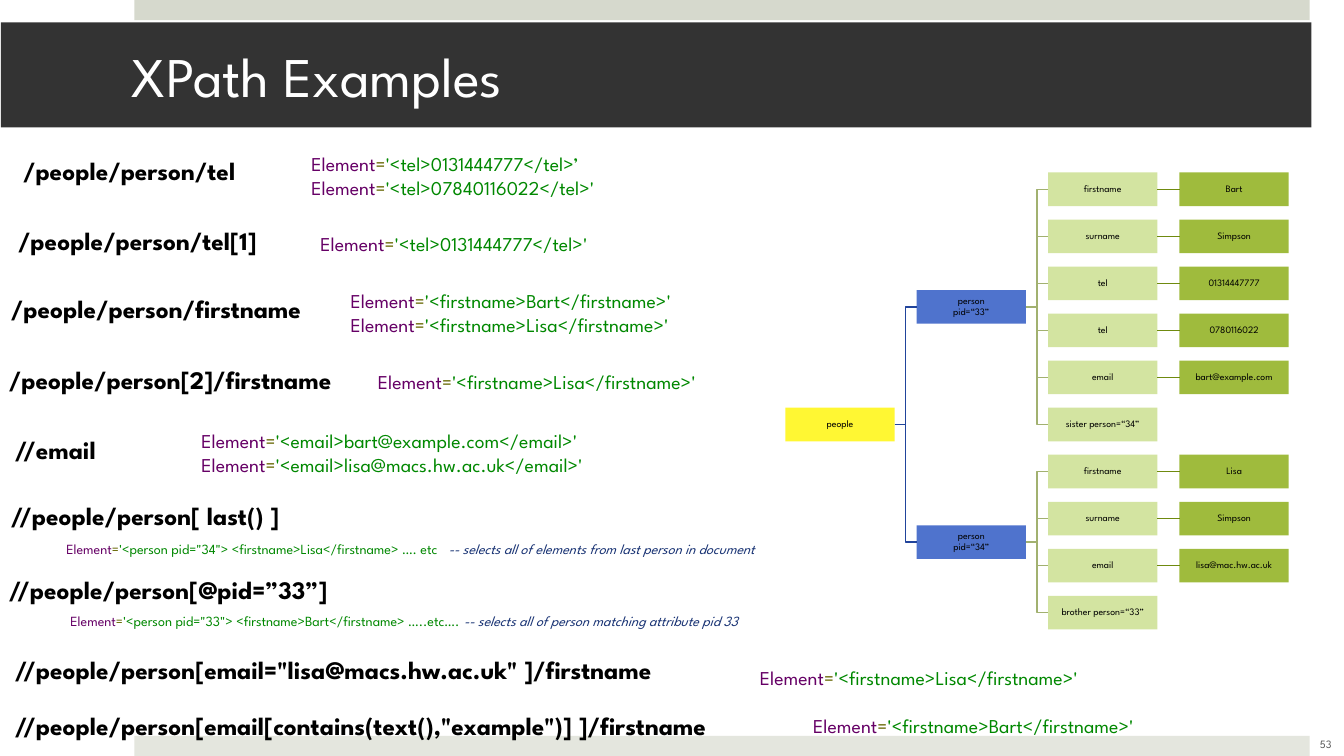
from dataclasses import dataclass
from typing import NamedTuple

from lxml import etree
from pptx import Presentation
from pptx.dml.color import RGBColor
from pptx.enum.shapes import MSO_CONNECTOR, MSO_SHAPE
from pptx.enum.text import MSO_ANCHOR, MSO_AUTO_SIZE, PP_ALIGN
from pptx.oxml.ns import qn
from pptx.util import Pt

RECTANGLE = MSO_SHAPE.RECTANGLE
ELBOW, STRAIGHT = MSO_CONNECTOR.ELBOW, MSO_CONNECTOR.STRAIGHT
LEFT, CENTER = PP_ALIGN.LEFT, PP_ALIGN.CENTER
TOP, MIDDLE = MSO_ANCHOR.TOP, MSO_ANCHOR.MIDDLE
FIT_SHAPE = MSO_AUTO_SIZE.SHAPE_TO_FIT_TEXT
RIGHT_SIDE, LEFT_SIDE = 3, 1

FONT = "League Spartan"
BLACK = RGBColor(0x00, 0x00, 0x00)
WHITE = RGBColor(0xFF, 0xFF, 0xFF)
TOP_BAND = RGBColor(0xD6, 0xD9, 0xCD)
BOTTOM_BAND = RGBColor(0xE4, 0xE6, 0xDE)
TITLE_BAND = RGBColor(0x33, 0x33, 0x33)
NUMBER_GRAY = RGBColor(0x59, 0x59, 0x59)
KEYWORD = RGBColor(0x66, 0x00, 0x66)
OPERATOR = RGBColor(0x66, 0x66, 0x00)
STRING = RGBColor(0x00, 0x88, 0x00)
REMARK = RGBColor(0x19, 0x33, 0x74)
ROOT_FILL = RGBColor(0xFF, 0xF7, 0x33)
PERSON_FILL = RGBColor(0x4F, 0x73, 0xCD)
FIELD_FILL = RGBColor(0xD3, 0xE4, 0xA1)
VALUE_FILL = RGBColor(0x9F, 0xBB, 0x3D)
PERSON_LINE = RGBColor(0x21, 0x44, 0x9B)
FIELD_LINE = RGBColor(0xA2, 0xB1, 0x70)
VALUE_LINE = RGBColor(0x6F, 0x8A, 0x0F)

TREE_LEFT, TREE_TOP = 561, 123.2
COLUMN_PITCH, ROW_PITCH = 93.84, 33.6
NODE_WIDTH, NODE_HEIGHT = 78, 24
PATH_SIZE = 18


class Place(NamedTuple):
    left: float
    top: float
    width: float


class Span(NamedTuple):
    text: str
    color: RGBColor = BLACK
    italic: bool = False


@dataclass
class Query:
    expression: str
    place: Place
    result_place: Place
    results: list[str]
    size: int = 14
    remark: str = ""
    remark_tab: float = 0


@dataclass
class Person:
    label: list[str]
    fields: list[tuple[str, str]]


QUERIES = [
    Query("/people/person/tel", Place(9.4, 107.3, 184.3), Place(215.3, 105.1, 480),
          ["'<tel>0131444777</tel>’", "'<tel>07840116022</tel>'"]),
    Query("/people/person/tel[1]", Place(5.8, 157.7, 205.9), Place(221.8, 162, 236.2),
          ["'<tel>0131444777</tel>'"]),
    Query("/people/person/firstname", Place(0.7, 205.9, 242.6), Place(243.4, 203, 280.8),
          ["'<firstname>Bart</firstname>'", "'<firstname>Lisa</firstname>'"]),
    Query("/people/person[2]/firstname", Place(-0.7, 257, 264.2), Place(262.8, 260.6, 274.3),
          ["'<firstname>Lisa</firstname>'"]),
    Query("//email", Place(3.6, 306.7, 80.6), Place(136.8, 303.1, 480),
          ["'<email>bart@example.com</email>'", "'<email>lisa@macs.hw.ac.uk</email>'"]),
    Query("//people/person[ last() ]", Place(0.7, 353.5, 233.3), Place(40.3, 382.3, 700),
          ["'<person pid=\"34\"> <firstname>Lisa</firstname> …. etc"], 10,
          "-- selects all of elements from last person in document", 273),
    Query("//people/person[@pid=”33”]", Place(-0.7, 406.8, 267.8), Place(43.2, 434.2, 752),
          ["'<person pid=\"33\"> <firstname>Bart</firstname> …..etc…."], 10,
          "-- selects all of person matching attribute pid 33", 281),
    Query("//people/person[email=\"lisa@macs.hw.ac.uk\" ]/firstname",
          Place(3.6, 463.7, 517.7), Place(535.7, 472.3, 274.3),
          ["'<firstname>Lisa</firstname>'"]),
    Query("//people/person[email[contains(text(),\"example\")] ]/firstname",
          Place(3.6, 504, 560.9), Place(573.8, 506.2, 277.2),
          ["'<firstname>Bart</firstname>'"]),
]

PEOPLE = [
    Person(["person", "pid=“33”"], [
        ("firstname", "Bart"), ("surname", "Simpson"), ("tel", "01314447777"),
        ("tel", "0780116022"), ("email", "bart@example.com"), ("sister person=“34”", "")]),
    Person(["person", "pid=“34”"], [
        ("firstname", "Lisa"), ("surname", "Simpson"), ("email", "lisa@mac.hw.ac.uk"),
        ("brother person=“33”", "")]),
]


def write(box, lines: list[list[Span]], *, size: float, bold: bool = False,
          align=LEFT, anchor=TOP, wrap: bool = True, spacing: float = 1,
          margins: tuple = (7.2, 3.6, 7.2, 3.6), tab: float = 0) -> None:
    frame = box.text_frame
    frame.word_wrap = wrap
    frame.vertical_anchor = anchor
    (frame.margin_left, frame.margin_top,
     frame.margin_right, frame.margin_bottom) = map(Pt, margins)
    para = frame.paragraphs[0]
    para.alignment = align
    para.line_spacing = spacing
    if tab:
        stops = etree.SubElement(para._p.get_or_add_pPr(), qn("a:tabLst"))
        etree.SubElement(stops, qn("a:tab"), pos=str(Pt(tab)), algn="l")
    for index, line in enumerate(lines):
        if index:
            para.add_line_break()
        for span in line:
            run = para.add_run()
            run.text = span.text
            run.font.name = FONT
            run.font.size = Pt(size)
            run.font.bold = bold
            run.font.italic = span.italic
            run.font.color.rgb = span.color


def add_text(page, place: Place, lines: list[list[Span]], *, size: float, **style):
    height = 1.2 * size * len(lines) + 7.2
    box = page.shapes.add_textbox(*map(Pt, (*place, height)))
    write(box, lines, size=size, **style)
    box.text_frame.auto_size = FIT_SHAPE


def add_block(page, left: float, top: float, width: float, height: float, fill: RGBColor):
    block = page.shapes.add_shape(RECTANGLE, *map(Pt, (left, top, width, height)))
    block.shadow.inherit = False
    block.fill.solid()
    block.fill.fore_color.rgb = fill
    block.line.fill.background()
    return block


def add_node(page, column: int, row: float, label: list[str], fill: RGBColor):
    node = add_block(page, TREE_LEFT + column * COLUMN_PITCH, TREE_TOP + row * ROW_PITCH,
                     NODE_WIDTH, NODE_HEIGHT, fill)
    write(node, [[Span(line)] for line in label], size=7, align=CENTER, anchor=MIDDLE,
          spacing=0.9, margins=(0, 0, 0, 0))
    return node


def join(page, parent, child, kind, color: RGBColor) -> None:
    link = page.shapes.add_connector(kind, 0, 0, 0, 0)
    link.begin_connect(parent, RIGHT_SIDE)
    link.end_connect(child, LEFT_SIDE)
    link.line.color.rgb = color
    link.line.width = Pt(1)
    etree.SubElement(link._element.spPr, qn("a:effectLst"))


def draw_query(page, query: Query) -> None:
    add_text(page, query.place, [[Span(query.expression)]], size=PATH_SIZE, bold=True, wrap=False)
    lines = [[Span("Element", KEYWORD), Span("=", OPERATOR), Span(result, STRING)]
             for result in query.results]
    if query.remark:
        lines[-1].append(Span("\t" + query.remark, REMARK, True))
    add_text(page, query.result_place, lines, size=query.size,
             wrap=len(lines) > 1 or bool(query.remark), tab=query.remark_tab)


def draw_tree(page) -> None:
    total = sum(len(person.fields) for person in PEOPLE)
    root = add_node(page, 0, total / 2, ["people"], ROOT_FILL)
    first_row = 0
    for person in PEOPLE:
        middle_row = first_row + (len(person.fields) - 1) / 2
        parent = add_node(page, 1, middle_row, person.label, PERSON_FILL)
        join(page, root, parent, ELBOW, PERSON_LINE)
        for row, (name, value) in enumerate(person.fields, first_row):
            field = add_node(page, 2, row, [name], FIELD_FILL)
            join(page, parent, field, ELBOW, FIELD_LINE)
            if value:
                leaf = add_node(page, 3, row, [value], VALUE_FILL)
                join(page, field, leaf, STRAIGHT, VALUE_LINE)
        first_row += len(person.fields)


def main() -> None:
    deck = Presentation()
    deck.slide_width, deck.slide_height = Pt(960), Pt(540)
    page = deck.slides.add_slide(deck.slide_layouts[6])
    add_block(page, 96, 0, 839.5, 14.4, TOP_BAND)
    add_block(page, 96, 525.6, 839.5, 14.4, BOTTOM_BAND)
    title = add_block(page, 0.7, 16, 936, 75, TITLE_BAND)
    write(title, [[Span("XPath Examples", WHITE)]], size=40, anchor=MIDDLE,
          margins=(93.6, 3.6, 21.6, 3.6))
    add_text(page, Place(923, 523, 48), [[Span("53", NUMBER_GRAY)]], size=8,
             align=CENTER, anchor=MIDDLE)
    draw_tree(page)
    for query in QUERIES:
        draw_query(page, query)
    deck.save("out.pptx")


if __name__ == "__main__":
    main()
